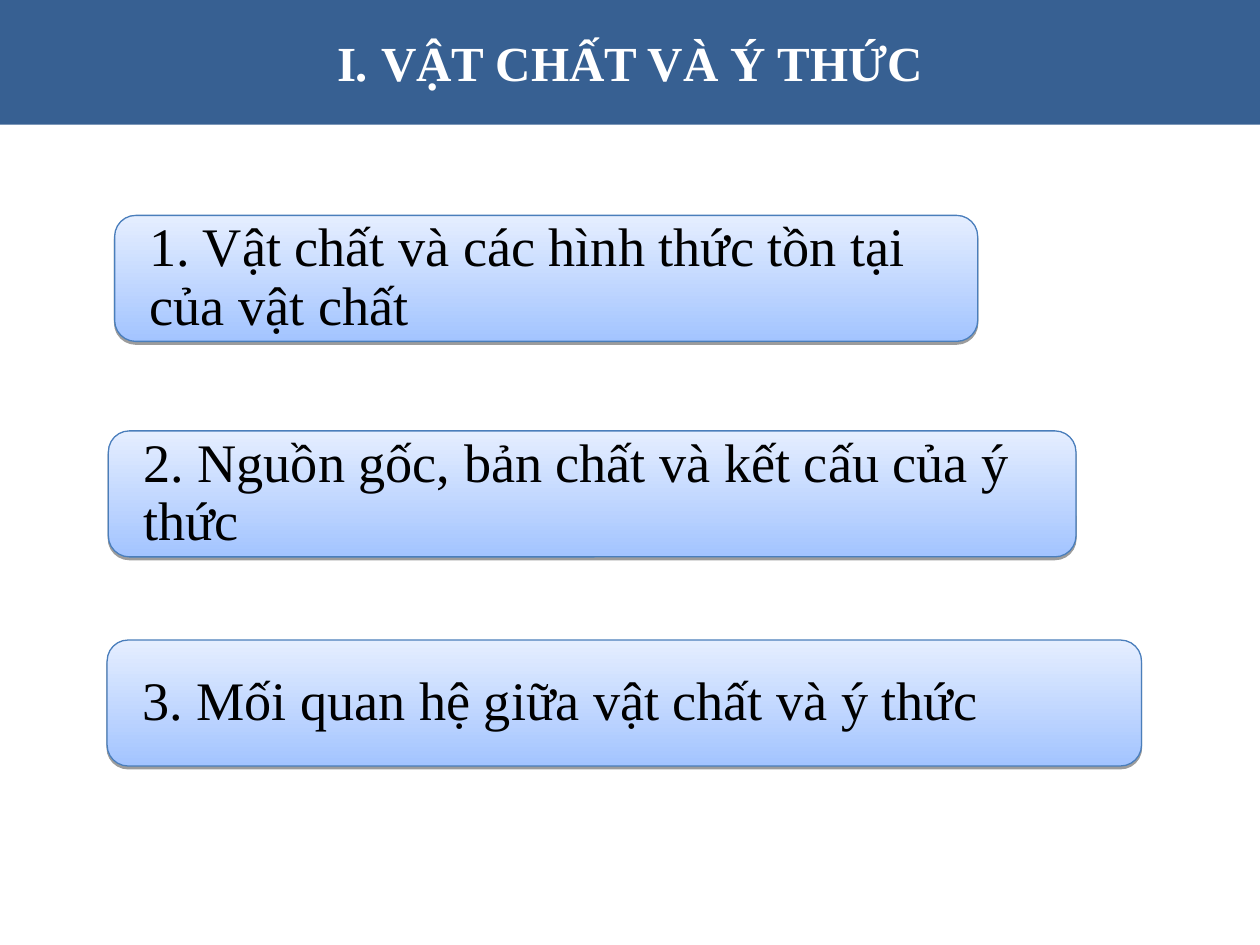
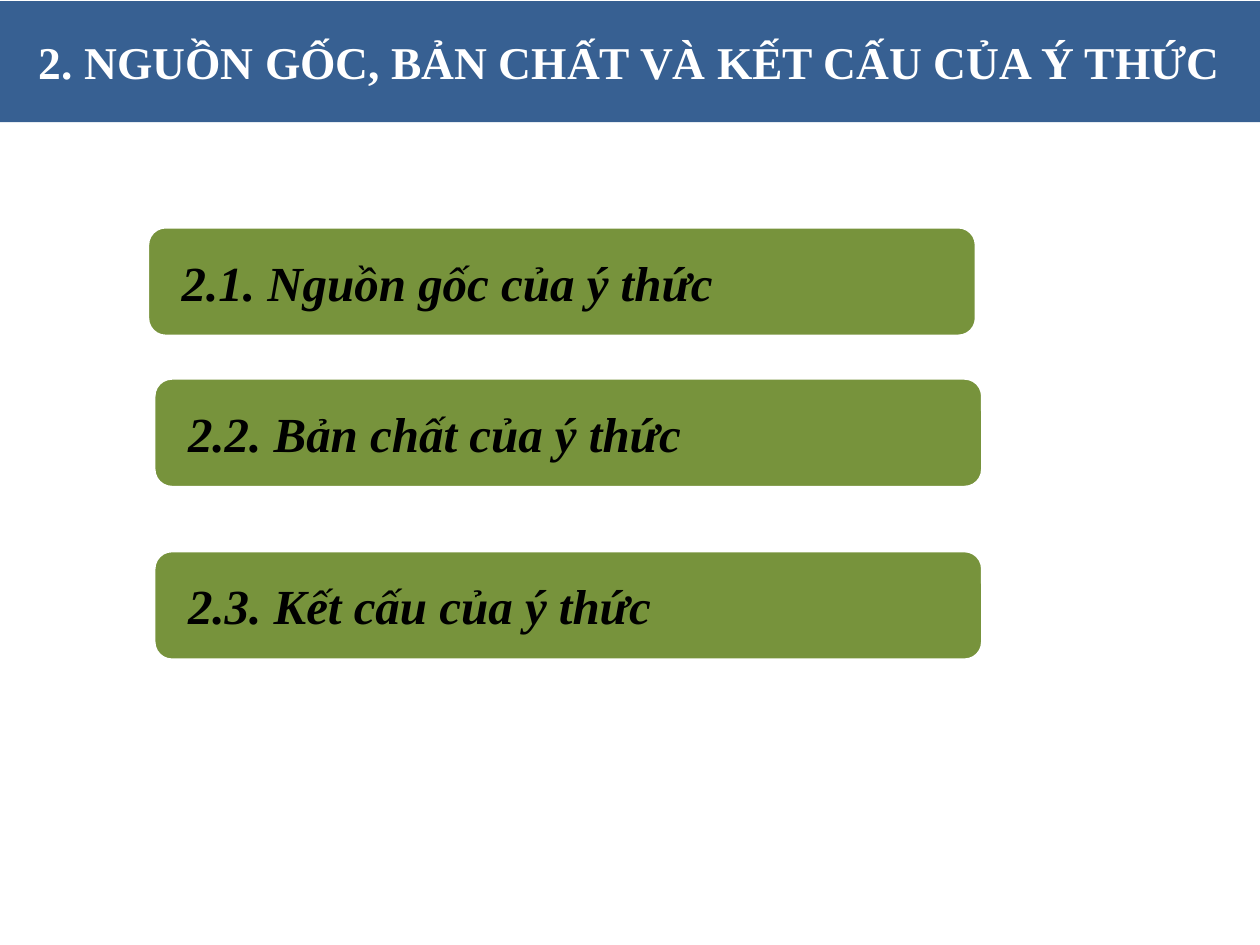
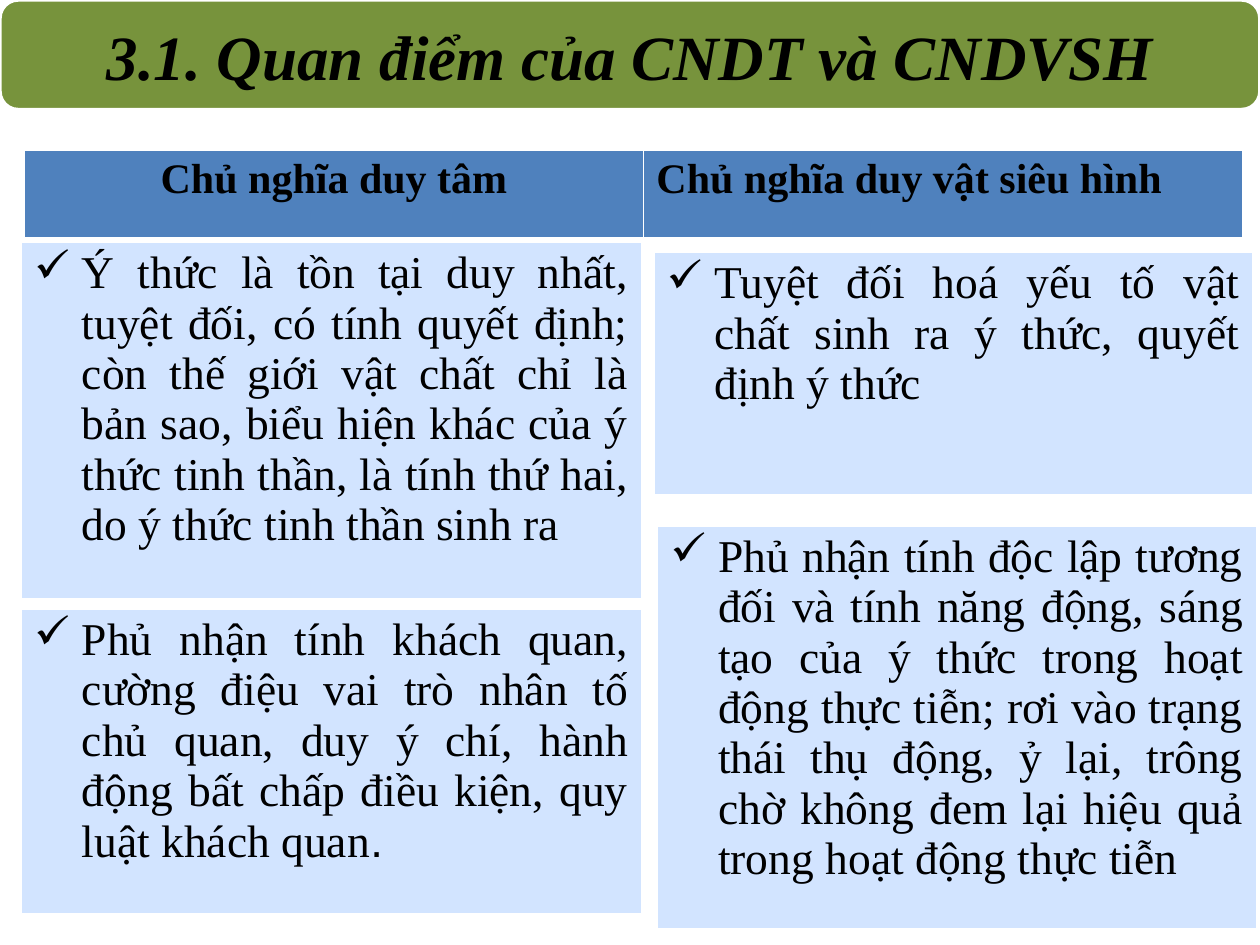
import lxml.etree
import pptx
import pptx.dml.color
import pptx.enum.dml
import pptx.enum.shapes
import pptx.enum.text
import pptx.oxml.ns
import pptx.util

HUES = {"navy": "376092", "blue": "4F81BD", "edge": "4A7EBB", "deep": "A3C4FF",
        "pale": "E5EEFF", "ice": "D2E4FF", "green": "77933C",
        "white": "FFFFFF", "black": "000000"}
COLS, ROWS = 100, 75
ALIGN = pptx.enum.text.PP_ALIGN
MID = pptx.enum.text.MSO_ANCHOR.MIDDLE

HEAD = {"size": 28, "bold": True, "hue": "white"}
TOPIC = {"size": 31}
POINT = {"size": 28, "bold": True, "italic": True}
BANNER = {"size": 36, "bold": True, "italic": True}
LABEL = {"size": 24, "bold": True}
BODY = {"size": 26}


def rgb(hue):
    return pptx.dml.color.RGBColor.from_string(HUES[hue])


def node(root, tag, **keys):
    """Add a drawing element below root."""
    return lxml.etree.SubElement(root, pptx.oxml.ns.qn("a:" + tag), **keys)


class Deck:
    def __init__(self):
        self.prs = pptx.Presentation()
        self.prs.slide_width = pptx.util.Inches(10)
        self.prs.slide_height = pptx.util.Inches(7.5)
        self.font = "Times New Roman"
        self.slide = None

    def new(self):
        self.slide = self.prs.slides.add_slide(self.prs.slide_layouts[5])

    def box(self, col, row, wide, high):
        """Turn grid units into lengths."""
        dx = self.prs.slide_width / COLS
        dy = self.prs.slide_height / ROWS
        return [round(n) for n in (col * dx, row * dy, wide * dx, high * dy)]

    def put(self, para, runs, form):
        """Fill a paragraph with (text, extra format) runs."""
        if isinstance(runs, str):
            runs = [(runs, {})]
        for text, extra in runs:
            run = para.add_run()
            run.text = text
            look = {"name": self.font, "hue": "black", **form, **extra}
            run.font.color.rgb = rgb(look.pop("hue"))
            look["size"] = pptx.util.Pt(look["size"])
            for key, val in look.items():
                setattr(run.font, key, val)

    def frame(self, shape, side, edge):
        """Set margins and return the first paragraph."""
        side, edge = pptx.util.Inches(side), pptx.util.Inches(edge)
        form = {"word_wrap": True, "vertical_anchor": MID,
                "auto_size": pptx.enum.text.MSO_AUTO_SIZE.NONE,
                "margin_left": side, "margin_right": side,
                "margin_top": edge, "margin_bottom": edge}
        for key, val in form.items():
            setattr(shape.text_frame, key, val)
        return shape.text_frame.paragraphs[0]

    def title(self, runs, area, form, fill=None):
        head = self.slide.shapes.title
        for key, val in zip(("left", "top", "width", "height"), self.box(*area)):
            setattr(head, key, val)
        if fill:
            head.fill.solid()
            head.fill.fore_color.rgb = rgb(fill)
        para = self.frame(head, 0.1, 0.05)
        para.alignment = ALIGN.CENTER
        self.put(para, runs, form)

    def card(self, area, fill="green", line="white", width=2):
        kind = pptx.enum.shapes.MSO_SHAPE.ROUNDED_RECTANGLE
        card = self.slide.shapes.add_shape(kind, *self.box(*area))
        card.shadow.inherit = False
        card.fill.solid()
        card.fill.fore_color.rgb = rgb(fill)
        card.line.color.rgb = rgb(line)
        card.line.width = pptx.util.Pt(width)
        return card

    def say(self, card, text, form, space=1.0):
        para = self.frame(card, 0.23, 0)
        para.alignment = ALIGN.LEFT
        para.line_spacing = space
        self.put(para, text, form)

    def glow(self, card):
        """Give a card a soft gradient and a drop shadow."""
        card.fill.gradient()
        card.fill.gradient_angle = 90
        for stop, hue, spot in zip(card.fill.gradient_stops, ("deep", "pale"), (0, 1)):
            stop.color.rgb = rgb(hue)
            stop.position = spot
        root = card.element.spPr.find(pptx.oxml.ns.qn("a:effectLst"))
        drop = node(root, "outerShdw", blurRad="0", dist=str(pptx.util.Pt(1.6)),
                    dir="5400000", rotWithShape="0")
        node(node(drop, "srgbClr", val=HUES["black"]), "alpha", val="38000")

    def bullet(self, para):
        props = para._p.get_or_add_pPr()
        dent = pptx.util.Inches(0.38)
        props.set("marL", str(dent))
        props.set("indent", str(-dent))
        node(node(props, "buClr"), "srgbClr", val=HUES["black"])
        node(props, "buChar", char="✓")

    def border(self, cell, thick):
        props = cell._tc.get_or_add_tcPr()
        for spot, tag in enumerate(("lnL", "lnR", "lnT", "lnB")):
            width = pptx.util.Pt(1.47 if tag == thick else 0.45)
            line = node(props, tag, w=str(width))
            node(node(line, "solidFill"), "srgbClr", val=HUES["white"])
            props.insert(spot, line)

    def table(self, area, cells, wides, form, fill, thick, mark=False):
        """Draw a one-row table of (runs, alignment) cells."""
        grid = self.slide.shapes.add_table(1, len(cells), *self.box(*area)).table
        grid.first_row = grid.horz_banding = False
        for col, wide in zip(grid.columns, wides):
            col.width = self.box(0, 0, wide, 0)[2]
        for cell, (runs, align) in zip(grid.rows[0].cells, cells):
            cell.fill.solid()
            cell.fill.fore_color.rgb = rgb(fill)
            self.border(cell, thick)
            para = cell.text_frame.paragraphs[0]
            if mark:
                self.bullet(para)
            para.alignment = align
            self.put(para, runs, form)


def topics(deck):
    deck.new()
    deck.title([("I", {}), (". ", {"italic": True}), ("VẬT CHẤT VÀ Ý THỨC", {})],
               (0, 0, 100, 9.9), HEAD, "navy")
    for text, col, row, wide in (
            ("1. Vật chất và các hình thức tồn tại của vật chất", 9.1, 17.1, 68.5),
            ("2. Nguồn gốc, bản chất và kết cấu của ý thức", 8.6, 34.2, 76.8),
            ("3. Mối quan hệ giữa vật chất và ý thức", 8.5, 50.8, 82.1)):
        card = deck.card((col, row, wide, 10), line="edge", width=0.75)
        deck.glow(card)
        deck.say(card, text, TOPIC, 0.9)


def points(deck):
    deck.new()
    deck.title("2. NGUỒN GỐC, BẢN CHẤT VÀ KẾT CẤU CỦA Ý THỨC",
               (0, 0.1, 100, 9.6), {**HEAD, "size": 26}, "navy")
    for text, col, row in (("2.1. Nguồn gốc của ý thức", 11.7, 18),
                           ("2.2. Bản chất của ý thức", 12.2, 30),
                           ("2.3. Kết cấu của ý thức", 12.2, 43.7)):
        deck.say(deck.card((col, row, 65.8, 8.7)), text, POINT)


def views(deck):
    deck.new()
    area = (0, 0, 100, 8.7)
    bar = deck.card(area)
    deck.slide.shapes.element.insert(2, bar.element)  # behind the title
    deck.title("3.1. Quan điểm của CNDT và CNDVSH", area, BANNER)

    # Column heads
    left, right = 49.2, 47.5
    deck.table((1.9, 11.9, left + right, 7),
               [("Chủ nghĩa duy tâm", ALIGN.CENTER),
                ("Chủ nghĩa duy vật siêu hình", ALIGN.LEFT)],
               (left, right), LABEL, "blue", "lnB")

    # Arguments of each school
    for runs, col, row, wide, high in (
            ("Ý thức là tồn tại duy nhất, tuyệt đối, có tính quyết định; còn thế giới "
             "vật chất chỉ là bản sao, biểu hiện khác của ý thức tinh thần, là tính "
             "thứ hai, do ý thức tinh thần sinh ra", 1.7, 19.2, left, 28.3),
            ([("Phủ nhận tính khách quan, cường điệu vai trò nhân tố chủ quan, duy ý "
               "chí, hành động bất chấp điều kiện, quy luật khách quan", {}),
              (".", {"name": "Arial"})], 1.7, 48.3, left, 24.2),
            ("Tuyệt đối hoá yếu tố vật chất sinh ra ý thức, quyết định ý thức",
             51.9, 20, right, 19.2),
            ("Phủ nhận tính độc lập tương đối và tính năng động, sáng tạo của ý thức "
             "trong hoạt động thực tiễn; rơi vào trạng thái thụ động, ỷ lại, trông "
             "chờ không đem lại hiệu quả trong hoạt động thực tiễn",
             52.2, 41.7, right, 32)):
        deck.table((col, row, wide, high), [(runs, ALIGN.JUSTIFY)], (wide,),
                   BODY, "ice", "lnT", mark=True)


def main():
    deck = Deck()
    for build in (topics, points, views):
        build(deck)
    deck.prs.save("out.pptx")


if __name__ == "__main__":
    main()
